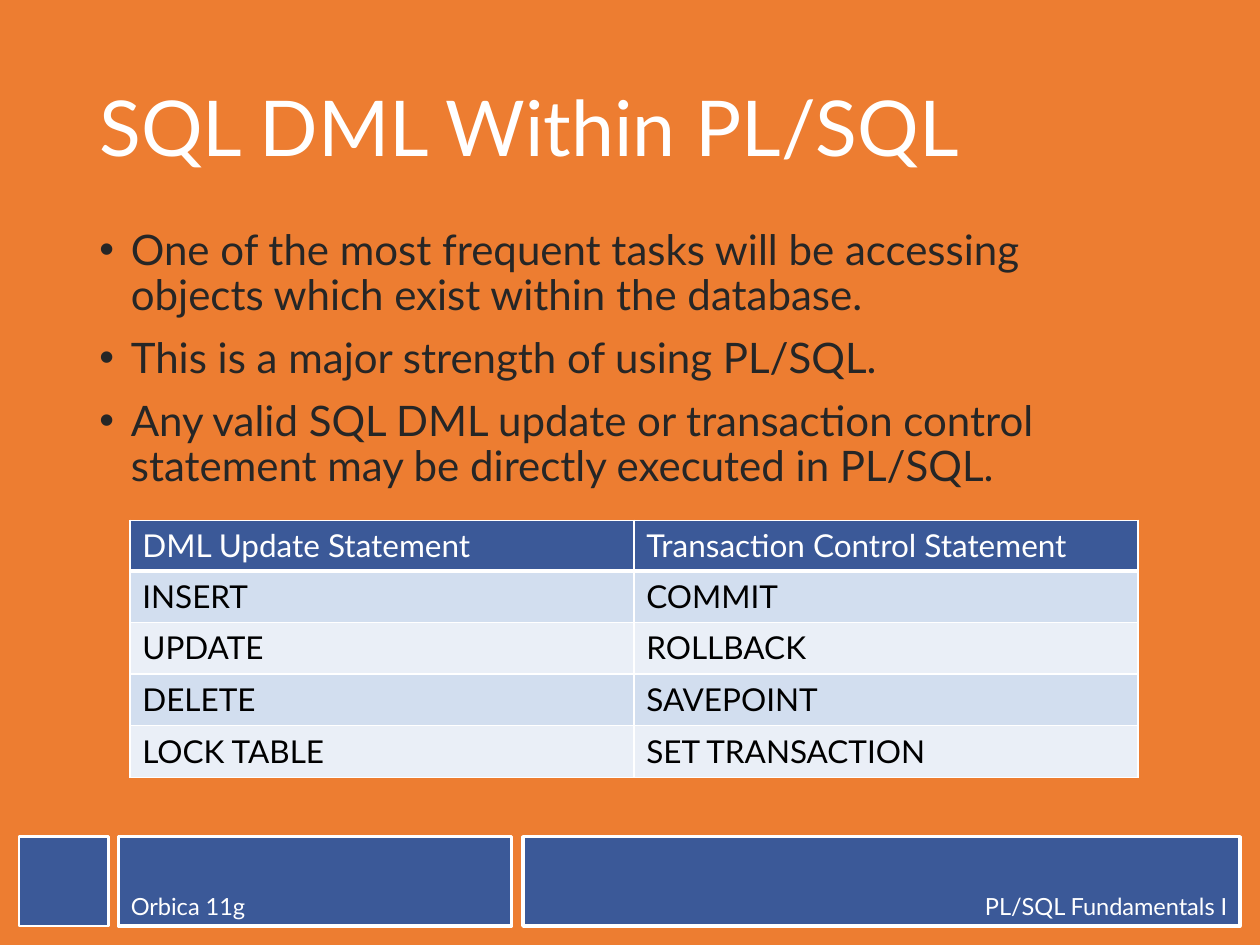
import lxml.etree
import pptx
import pptx.dml.color
import pptx.enum.shapes
import pptx.enum.text
import pptx.oxml.ns
import pptx.util

Inches = pptx.util.Inches
Pt = pptx.util.Pt
ALIGN = pptx.enum.text.PP_ALIGN
ANCHOR = pptx.enum.text.MSO_ANCHOR
qn = pptx.oxml.ns.qn

FONT = "Lato"
ORANGE, BLUE, WHITE, DARK, BLACK = "ED7D31", "3B5998", "FFFFFF", "262626", "000000"
BANDS = ["D2DEEF", "EAEFF7"]

POINTS = [
    "One of the most frequent tasks will be accessing objects which exist within the database.",
    "This is a major strength of using PL/SQL.",
    "Any valid SQL DML update or transaction control statement may be directly executed in PL/SQL.",
]
ROWS = [
    ("DML Update Statement", "Transaction Control Statement"),
    ("INSERT", "COMMIT"),
    ("UPDATE", "ROLLBACK"),
    ("DELETE", "SAVEPOINT"),
    ("LOCK TABLE", "SET TRANSACTION"),
]


def paint(fill, color):
    fill.solid()
    fill.fore_color.rgb = pptx.dml.color.RGBColor.from_string(color)


def style(para, size, color):
    para.font.name = FONT
    para.font.size = Pt(size)
    paint(para.font.fill, color)


def add_text(slide, box, anchor):
    frame = slide.shapes.add_textbox(*map(Inches, box)).text_frame
    frame.word_wrap = True
    frame.vertical_anchor = anchor
    return frame


def add_title(slide, box, text):
    para = add_text(slide, box, ANCHOR.MIDDLE).paragraphs[0]
    para.text = text
    para.line_spacing = 0.9
    style(para, 44, WHITE)


def add_bullets(slide, box, points):
    frame = add_text(slide, box, ANCHOR.TOP)
    for i, point in enumerate(points):
        para = frame.add_paragraph() if i else frame.paragraphs[0]
        para.text = point
        para.line_spacing = 0.9
        para.space_before = Pt(10 if i else 0)
        props = para._p.get_or_add_pPr()
        props.set("marL", str(Inches(0.25)))
        props.set("indent", str(Inches(-0.25)))
        lxml.etree.SubElement(props, qn("a:buFont"), typeface="Arial")
        lxml.etree.SubElement(props, qn("a:buChar"), char="•")
        style(para, 24, DARK)


def add_border(cell, side, width):
    props = cell._tc.get_or_add_tcPr()
    line = lxml.etree.SubElement(props, qn("a:ln" + side), w=str(Pt(width)))
    fill = lxml.etree.SubElement(line, qn("a:solidFill"))
    lxml.etree.SubElement(fill, qn("a:srgbClr"), val=WHITE)


def add_grid(slide, box, rows):
    frame = slide.shapes.add_table(len(rows), len(rows[0]), *map(Inches, box))
    table = frame.table
    for r, row in enumerate(rows):
        table.rows[r].height = Inches(0.41 if r else 0.4)
        for c, text in enumerate(row):
            cell = table.cell(r, c)
            cell.text = text
            style(cell.text_frame.paragraphs[0], 18, BLACK if r else WHITE)
            for side in "LRTB":
                thick = (r, side) in [(0, "B"), (1, "T")]
                add_border(cell, side, 3 if thick else 1)
            paint(cell.fill, BANDS[(r - 1) % 2] if r else BLUE)


def add_footer(slide, box):
    """Three blue panels in a row: a square, then two with labels."""
    left, top, width, height = box
    gap, middle = 0.08, 3.12
    second = left + height + gap
    third = second + middle + gap + 0.01
    panels = [
        (left, height, 1.5, "", ALIGN.LEFT),
        (second, middle, 2, "Orbica 11g", ALIGN.LEFT),
        (third, left + width - third, 2, "PL/SQL Fundamentals I", ALIGN.RIGHT),
    ]
    for x, wide, weight, text, align in panels:
        panel = slide.shapes.add_shape(
            pptx.enum.shapes.MSO_SHAPE.RECTANGLE,
            Inches(x), Inches(top), Inches(wide), Inches(height))
        panel.shadow.inherit = False
        paint(panel.fill, BLUE)
        paint(panel.line.fill, WHITE)
        panel.line.width = Pt(weight)
        if text:
            panel.text_frame.vertical_anchor = ANCHOR.BOTTOM
            para = panel.text_frame.paragraphs[0]
            para.text = text
            para.alignment = align
            style(para, 13.5, WHITE)


def main():
    deck = pptx.Presentation()
    deck.slide_width, deck.slide_height = Inches(10), Inches(7.5)
    slide = deck.slides.add_slide(deck.slide_layouts[6])
    paint(slide.background.fill, ORANGE)
    add_footer(slide, (0.15, 6.64, 9.69, 0.71))
    add_title(slide, (0.69, 0.4, 8.62, 1.28), "SQL DML Within PL/SQL")
    add_bullets(slide, (0.69, 1.77, 8.62, 4.83), POINTS)
    add_grid(slide, (1.03, 4.13, 8, 2.04), ROWS)
    deck.save("out.pptx")


if __name__ == "__main__":
    main()
